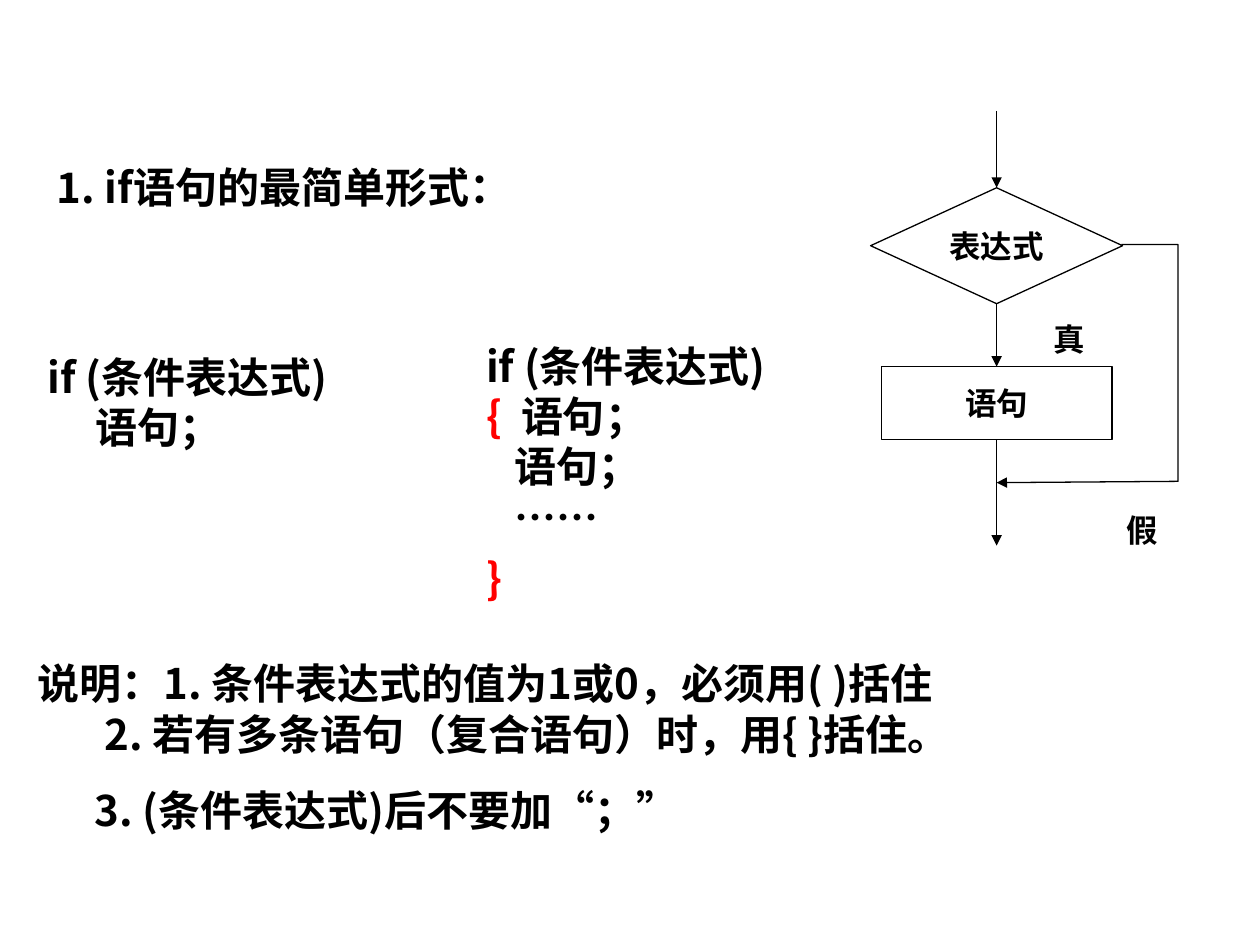
from pptx import Presentation
from pptx.dml.color import RGBColor
from pptx.enum.shapes import MSO_CONNECTOR as Connector, MSO_SHAPE as Shape
from pptx.enum.text import MSO_ANCHOR as Anchor, MSO_AUTO_SIZE as AutoSize, PP_ALIGN as Align
from pptx.oxml.ns import qn
from pptx.util import Inches, Pt
from lxml.etree import SubElement

COLORS = {"text": "000000", "brace": "FF0000", "line": "000000"}
FONT = "Noto Sans CJK SC"
CELL = 0.1


def grid(*cells):
    """Turn grid columns or rows into lengths."""
    return [Inches(cell * CELL) for cell in cells]


def place(shape, box):
    """Move a shape into a box of grid cells."""
    shape.left, shape.top, shape.width, shape.height = grid(*box)


def prepare(shape, wrap=True, anchor=Anchor.TOP):
    """Set up the text frame of a shape and return it."""
    frame = shape.text_frame
    frame.word_wrap = wrap
    frame.auto_size = AutoSize.NONE
    frame.vertical_anchor = anchor
    return frame


def write(frame, paragraphs, size=24, before=0, align=Align.LEFT):
    """Write paragraphs, each a list of (text, colour) runs; None breaks a line."""
    for index, runs in enumerate(paragraphs):
        paragraph = frame.paragraphs[0] if index == 0 else frame.add_paragraph()
        paragraph.alignment = align
        paragraph.line_spacing = Pt(size * 1.2)
        paragraph.space_before = Pt(before if index else 0)
        for item in runs:
            if item is None:
                paragraph.add_line_break()
                continue
            text, color = item
            run = paragraph.add_run()
            run.text = text
            font = run.font
            font.name, font.size, font.bold = FONT, Pt(size), True
            font.color.rgb = RGBColor.from_string(COLORS[color])
            SubElement(font._element, qn("a:ea")).set("typeface", FONT)


def add_text(slide, box, paragraphs, **style):
    """Add a text box."""
    shape = slide.shapes.add_textbox(*grid(*box))
    write(prepare(shape), paragraphs, **style)


def draw_outline(shape, arrow=False):
    """Give a shape or connector a thin line, with an arrowhead if asked."""
    shape.line.color.rgb = RGBColor.from_string(COLORS["line"])
    shape.line.width = Pt(0.75)
    if arrow:
        SubElement(shape.line._get_or_add_ln(), qn("a:tailEnd")).set("type", "triangle")


def add_node(slide, kind, box, text):
    """Add an unfilled flowchart node with a centred label."""
    shape = slide.shapes.add_shape(kind, *grid(*box))
    shape.shadow.inherit = False
    shape.fill.background()
    draw_outline(shape)
    frame = prepare(shape, wrap=False, anchor=Anchor.MIDDLE)
    write(frame, [[(text, "text")]], size=18, align=Align.CENTER)
    return shape


def add_arrow(slide, x, start, end, source=None, target=None):
    """Add a downward arrow, joined to the nodes it touches."""
    x, start, end = grid(x, start, end)
    arrow = slide.shapes.add_connector(Connector.STRAIGHT, x, start, x, end)
    if source is not None:
        arrow.begin_connect(source, 2)
    if target is not None:
        arrow.end_connect(target, 0)
    draw_outline(arrow, arrow=True)
    SubElement(arrow._element.spPr, qn("a:effectLst"))


def add_flowchart(slide, box):
    """Draw the decision, its statement and the bypass branch."""
    left, top, width, height = box
    middle = left + 10
    decision = add_node(slide, Shape.FLOWCHART_DECISION, (left, top + 6.1, 20, 9.2), "表达式")
    statement = add_node(slide, Shape.FLOWCHART_PROCESS, (middle - 9.15, top + 20.3, 18.3, 5.8), "语句")
    add_arrow(slide, middle, top, top + 6.1, target=decision)
    add_arrow(slide, middle, top + 15.3, top + 20.3, decision, statement)
    add_arrow(slide, middle, top + 26.1, top + 34.5, source=statement)
    corners = [(left + 19.9, top + 10.6), (left + 24.4, top + 10.6),
               (left + 24.4, top + 29.4), (middle, top + 29.5)]
    points = [tuple(grid(*corner)) for corner in corners]
    builder = slide.shapes.build_freeform(*points[0])
    builder.add_line_segments(points[1:], close=False)
    bypass = builder.convert_to_shape()
    bypass.shadow.inherit = False
    bypass.fill.background()
    draw_outline(bypass, arrow=True)
    add_text(slide, (left + 11.6, top + 16.1, 8.3, 4), [[("真", "text")]], size=18, align=Align.CENTER)
    add_text(slide, (left + 19.3, top + 31.3, 7.5, 4), [[("假", "text")]], size=18)


def add_code(slide, box):
    """Show the single and the compound form side by side."""
    left, top, width, height = box
    condition = ("if (条件表达式)", "text")
    single = [[condition, None, ("     语句；", "text")]]
    compound = [[condition, None, ("{  ", "brace"), ("语句；", "text"), None,
                 ("   语句；", "text"), None, ("   ……", "text")],
                [("}", "brace")]]
    add_text(slide, (left, top + 0.9, 29, 13), single)
    add_text(slide, (left + 34.8, top, 29, height), compound, before=6)


def fill_title(slide, box):
    """Set the heading in the title placeholder."""
    title = slide.shapes.title
    place(title, box)
    write(prepare(title), [[("1. if语句的最简单形式：", "text")]])


def fill_notes(slide, box):
    """List the remarks in the body placeholder."""
    body = slide.placeholders[1]
    place(body, box)
    frame = prepare(body)
    lines = ["说明：1. 条件表达式的值为1或0，必须用( )括住",
             "2. 若有多条语句（复合语句）时，用{ }括住。",
             "3. (条件表达式)后不要加“；”"]
    write(frame, [[(line, "text")] for line in lines])
    for paragraph, indent, before in zip(frame.paragraphs, (0, 5.3, 4.5), (0, 0, 15)):
        paragraph.space_before = Pt(before)
        properties = paragraph._p.get_or_add_pPr()
        properties.set("marL", str(grid(indent)[0]))
        properties.set("indent", "0")
        SubElement(properties, qn("a:buNone"))


def main():
    """Build the slide and save it."""
    presentation = Presentation()
    presentation.slide_width, presentation.slide_height = grid(100, 75)
    slide = presentation.slides.add_slide(presentation.slide_layouts[1])
    fill_title(slide, (3.5, 12.3, 53.3, 5))
    fill_notes(slide, (2, 51.7, 96.5, 15.1))
    add_code(slide, (2.8, 26.5, 63.8, 25.9))
    add_flowchart(slide, (69.1, 8.8, 26.8, 35.3))
    presentation.save("out.pptx")


if __name__ == "__main__":
    main()
